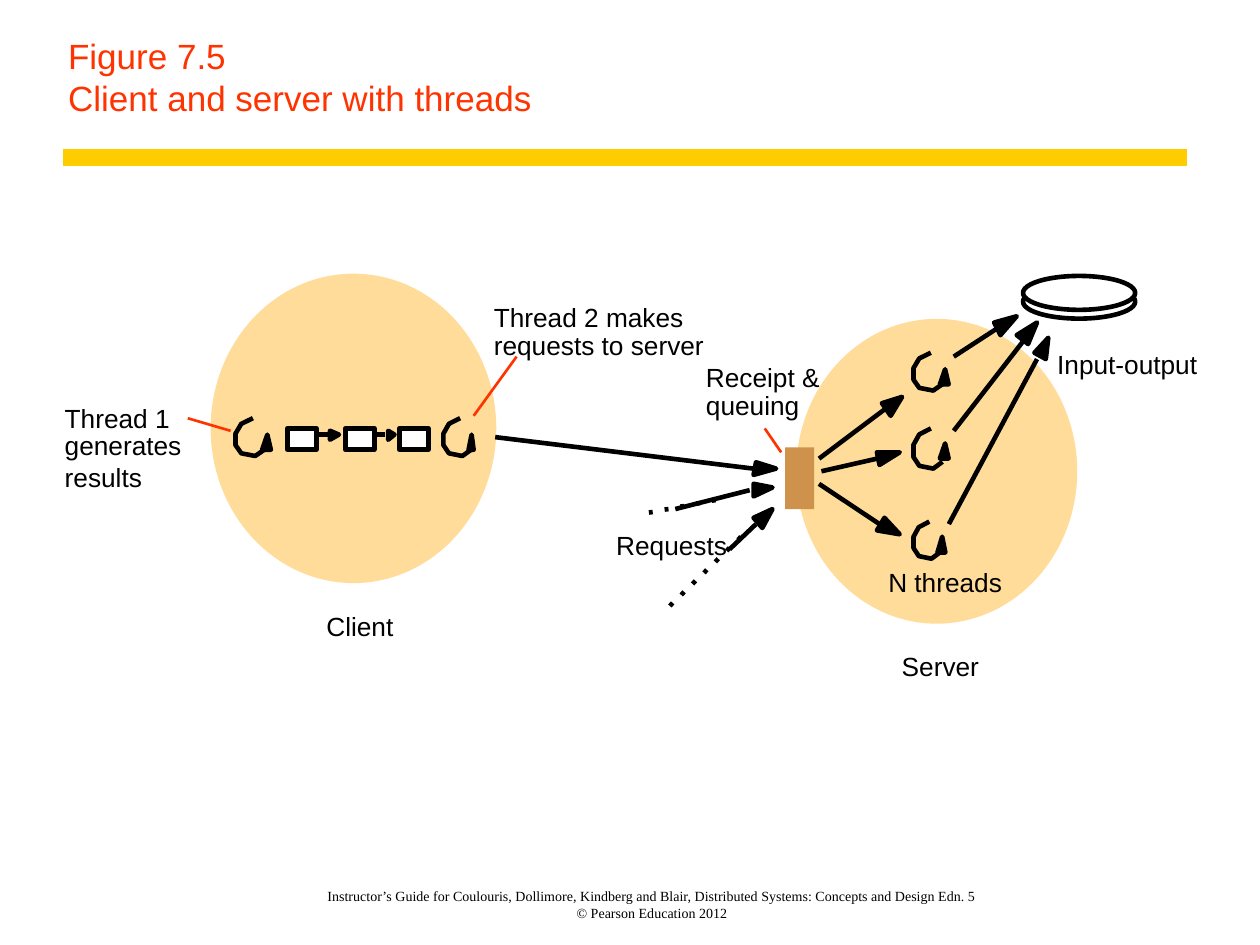
from dataclasses import dataclass
from typing import NamedTuple, Optional

from lxml.etree import SubElement
from pptx import Presentation
from pptx.dml.color import RGBColor
from pptx.enum.shapes import MSO_CONNECTOR, MSO_SHAPE
from pptx.enum.text import MSO_ANCHOR, MSO_AUTO_SIZE, PP_ALIGN
from pptx.oxml.ns import qn
from pptx.util import Pt


@dataclass(frozen=True)
class Theme:
    ink: str = "000000"
    paper: str = "FFFFFF"
    accent: str = "FF3300"
    rule: str = "FFCC00"
    process: str = "FFDC99"
    queue: str = "CF924C"
    sans: str = "Arial"
    serif: str = "Times New Roman"
    title_size: float = 20
    label_size: float = 15
    footer_size: float = 8
    stroke: float = 2.64
    pointer: float = 1.5
    rule_width: float = 10


class Point(NamedTuple):
    x: float
    y: float


class Box(NamedTuple):
    left: float
    top: float
    width: float
    height: float


class Label(NamedTuple):
    text: str
    box: Box


class Arrow(NamedTuple):
    start: Point
    end: Point
    head: list[Point]


class Thread(NamedTuple):
    loop: Box
    head: Box


class Trail(NamedTuple):
    start: Point
    step: Point
    dash: Point
    count: int


THEME = Theme()
LOOP = [(1, 0.83), (0.68, 1), (0.2, 0.93), (0, 0.71), (0, 0.41), (0.2, 0.15), (0.6, 0)]
LOOP_HEAD = [(0.4, 1), (0, 1), (0.6, 0), (1, 1)]

CLIENT = Box(121.7, 157.7, 160.6, 174.2)
SERVER = Box(455, 182.2, 160.6, 174.2)
RECEIPT_QUEUE = Box(448.6, 255.6, 16.6, 35.3)
DISK_LAYERS = [Box(584.6, top, 64.1, 19.4) for top in (162.7, 157.7)]
RESULT_BUFFERS = [Box(left, 244.8, 16.6, 12.2) for left in (164.2, 197.3, 228.2)]

LABELS = [
    Label("Thread 1", Box(37, 229.7, 72, 18)),
    Label("generates", Box(37, 245.5, 80, 18)),
    Label("results", Box(37, 263.5, 56, 18)),
    Label("Thread 2 makes", Box(282.2, 172.1, 124, 18)),
    Label("requests to server", Box(282.2, 188.2, 134, 18)),
    Label("Client", Box(186.5, 348.5, 50, 18)),
    Label("Requests", Box(352.1, 302.4, 76, 18)),
    Label("Receipt &", Box(403.4, 206.3, 80, 18)),
    Label("queuing", Box(403.4, 222.5, 68, 18)),
    Label("N threads", Box(507.6, 323.3, 80, 18)),
    Label("Server", Box(515.3, 371.5, 58, 18)),
    Label("Input-output", Box(604.1, 199.2, 96, 18)),
]

THREADS = [
    Thread(Box(134.6, 239, 16.6, 21.6), Box(149.8, 248.4, 5, 8.6)),
    Thread(Box(253.4, 239, 16, 21.6), Box(267.8, 248.4, 2.9, 8.6)),
    Thread(Box(522, 201.6, 16.6, 21.6), Box(537.1, 211, 5, 8.6)),
    Thread(Box(522, 244.8, 16.6, 23), Box(537.1, 253.4, 5, 8.6)),
    Thread(Box(522, 298.1, 15.1, 21.2), Box(535.7, 306.7, 4.5, 9)),
]

ARROWS = [
    Arrow(Point(*start), Point(*end), [Point(*corner) for corner in head])
    for start, end, head in [
        ((180.7, 248.4), (188.6, 248.4), [(188.6, 246.2), (193.7, 248.4), (188.6, 251.3)]),
        ((211.7, 248.4), (220.3, 248.4), [(221.8, 246.2), (225.4, 248.4), (221.8, 251.3)]),
        ((283, 249.8), (430.6, 267.8), [(432, 264.2), (443.5, 267.8), (430.6, 271.4)]),
        ((385.9, 290.9), (428.4, 280.1), [(430.6, 276.5), (441.4, 278.6), (430.6, 283.7)]),
        ((416.9, 313.9), (432, 299.5), [(430.6, 295.9), (441.4, 290.9), (435.6, 301.7)]),
        ((468, 262.1), (505.4, 234), [(504, 230.4), (515.5, 226.8), (509, 237.6)]),
        ((469.4, 269.3), (501.1, 262.1), [(501.1, 258.5), (514.1, 258.5), (502.6, 265.7)]),
        ((468, 276.5), (502.6, 299.5), [(505.4, 295.9), (514.1, 305.3), (501.1, 303.1)]),
        ((545, 203.8), (569.5, 187.9), [(568.1, 184.3), (581, 180.7), (571.7, 191.5)]),
        ((545, 246.2), (584.6, 195.1), [(581, 191.5), (592.6, 184.3), (587.5, 196.6)]),
        ((542.2, 299.5), (592.6, 205.2), [(591.1, 201.6), (599, 193), (597.6, 205.2)]),
    ]
]

POINTERS = [
    (Point(107.3, 239), Point(131.8, 246.2)),
    (Point(270.7, 237.6), Point(295.2, 203.8)),
    (Point(437, 244.8), Point(446.4, 258.5)),
]

REQUEST_TRAILS = [
    Trail(Point(409, 285.8), Point(-9, 1.7), Point(-2.2, 0.3), 5),
    Trail(Point(423.4, 306.7), Point(-6.5, 6.3), Point(-1.6, 1.8), 7),
]


def paint(shape, fill: Optional[str], line: Optional[str]) -> None:
    shape.shadow.inherit = False
    if fill:
        shape.fill.solid()
        shape.fill.fore_color.rgb = RGBColor.from_string(fill)
    else:
        shape.fill.background()
    if line:
        shape.line.color.rgb = RGBColor.from_string(line)
        shape.line.width = Pt(THEME.stroke)
    else:
        shape.line.fill.background()


def draw_preset(slide, kind: MSO_SHAPE, box: Box, fill: str, line: Optional[str] = None) -> None:
    paint(slide.shapes.add_shape(kind, *map(Pt, box)), fill, line)


def draw_outline(slide, points: list[Point], filled: bool) -> None:
    corners = [(Pt(x), Pt(y)) for x, y in points]
    builder = slide.shapes.build_freeform(*corners[0], scale=1.0)
    builder.add_line_segments(corners[1:], close=filled)
    paint(builder.convert_to_shape(), THEME.ink if filled else None, THEME.ink)


def draw_line(slide, start: Point, end: Point, color: str, width: float) -> None:
    connector = slide.shapes.add_connector(MSO_CONNECTOR.STRAIGHT, *map(Pt, start + end))
    connector.line.color.rgb = RGBColor.from_string(color)
    connector.line.width = Pt(width)
    SubElement(connector._element.spPr, qn("a:effectLst"))


def draw_arrow(slide, arrow: Arrow) -> None:
    draw_outline(slide, arrow.head, True)
    draw_line(slide, arrow.start, arrow.end, THEME.ink, THEME.stroke)


def fit(fractions: list[tuple[float, float]], box: Box) -> list[Point]:
    return [Point(box.left + x * box.width, box.top + y * box.height) for x, y in fractions]


def draw_thread(slide, thread: Thread) -> None:
    draw_outline(slide, fit(LOOP_HEAD, thread.head), True)
    draw_outline(slide, fit(LOOP, thread.loop), False)


def draw_trail(slide, trail: Trail) -> None:
    for index in range(trail.count):
        start = Point(trail.start.x + index * trail.step.x, trail.start.y + index * trail.step.y)
        end = Point(start.x + trail.dash.x, start.y + trail.dash.y)
        draw_line(slide, start, end, THEME.ink, THEME.stroke)


def write(shape, text: str, font: str, size: float, color: str, insets: Box = Box(0, 0, 0, 0),
          align: PP_ALIGN = PP_ALIGN.LEFT, anchor: MSO_ANCHOR = MSO_ANCHOR.TOP) -> None:
    frame = shape.text_frame
    frame.margin_left, frame.margin_top, frame.margin_right, frame.margin_bottom = map(Pt, insets)
    frame.word_wrap = True
    frame.auto_size = MSO_AUTO_SIZE.NONE
    frame.vertical_anchor = anchor
    paragraph = frame.paragraphs[0]
    paragraph.text = text
    paragraph.alignment = align
    for run in paragraph.runs:
        run.font.name, run.font.size = font, Pt(size)
        run.font.color.rgb = RGBColor.from_string(color)


def main() -> None:
    deck = Presentation()
    deck.slide_width, deck.slide_height = Pt(720), Pt(540)
    slide = deck.slides.add_slide(deck.slide_layouts[5])

    title = slide.shapes.title
    title.left, title.top, title.width, title.height = map(Pt, Box(31.7, 0, 645.8, 72))
    write(title, "Figure 7.5\nClient and server with threads", THEME.sans, THEME.title_size,
          THEME.accent, Box(7.2, 4.3, 10.1, 4.3), anchor=MSO_ANCHOR.BOTTOM)
    draw_line(slide, Point(36, 90), Point(678.2, 90), THEME.rule, THEME.rule_width)

    draw_preset(slide, MSO_SHAPE.OVAL, SERVER, THEME.process)
    draw_preset(slide, MSO_SHAPE.OVAL, CLIENT, THEME.process, THEME.process)
    for layer in DISK_LAYERS:
        draw_preset(slide, MSO_SHAPE.OVAL, layer, THEME.paper, THEME.ink)
    for thread in THREADS:
        draw_thread(slide, thread)
    for arrow in ARROWS:
        draw_arrow(slide, arrow)
    for result_buffer in RESULT_BUFFERS:
        draw_preset(slide, MSO_SHAPE.RECTANGLE, result_buffer, THEME.paper, THEME.ink)
    for trail in REQUEST_TRAILS:
        draw_trail(slide, trail)
    for start, end in POINTERS:
        draw_line(slide, start, end, THEME.accent, THEME.pointer)
    draw_preset(slide, MSO_SHAPE.RECTANGLE, RECEIPT_QUEUE, THEME.queue)
    for label in LABELS:
        write(slide.shapes.add_textbox(*map(Pt, label.box)), label.text,
              THEME.sans, THEME.label_size, THEME.ink)

    footer = slide.shapes.add_textbox(*map(Pt, Box(156.2, 498.2, 437.8, 28.1)))
    write(footer, "Instructor’s Guide for Coulouris, Dollimore, Kindberg and Blair, "
          "Distributed Systems: Concepts and Design Edn. 5\n© Pearson Education 2012",
          THEME.serif, THEME.footer_size, THEME.ink, Box(0, 0, 5, 0),
          PP_ALIGN.CENTER, MSO_ANCHOR.BOTTOM)
    deck.save("out.pptx")


if __name__ == "__main__":
    main()
